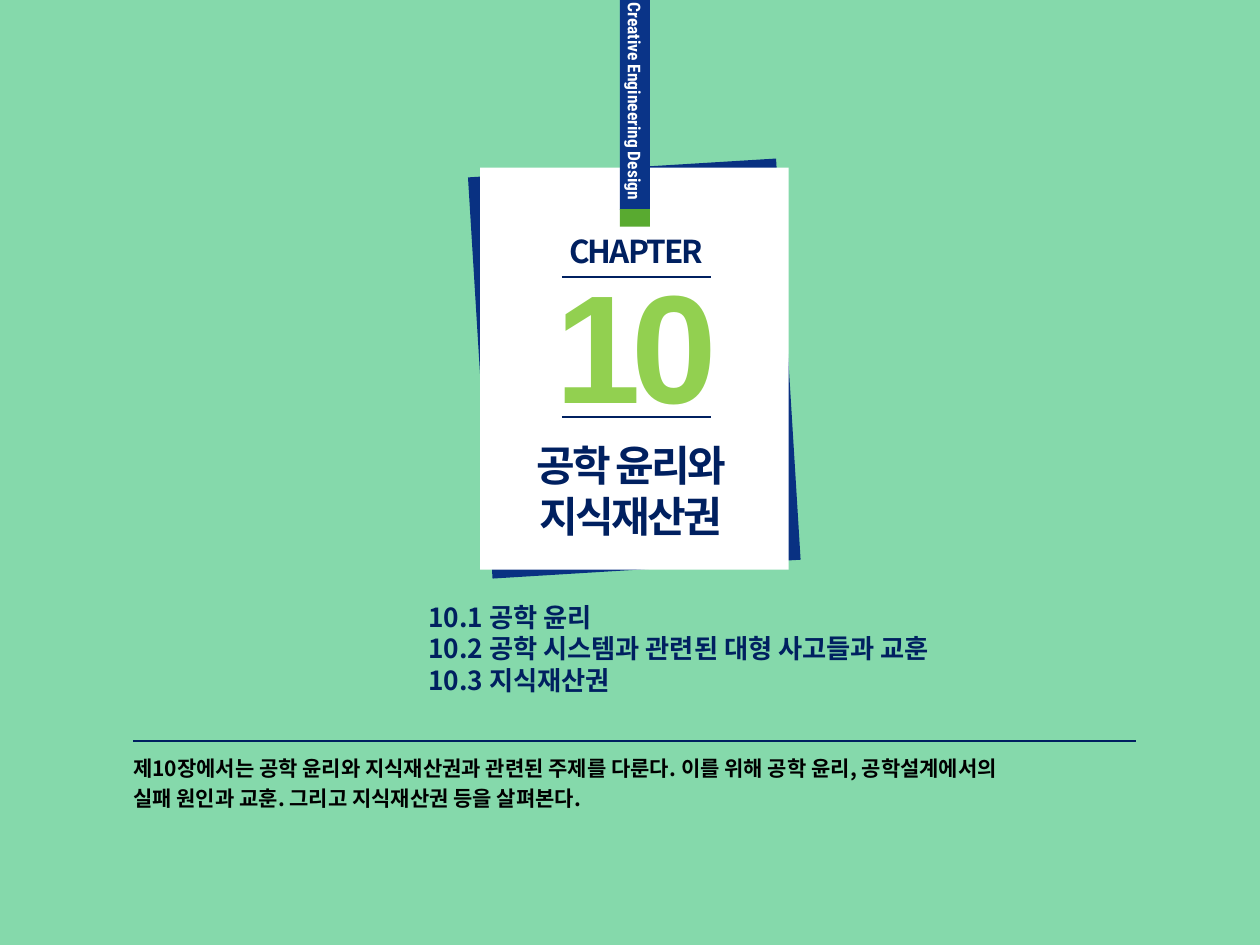
from lxml.etree import SubElement
from pptx import Presentation
from pptx.dml.color import RGBColor
from pptx.enum.shapes import MSO_CONNECTOR, MSO_SHAPE
from pptx.enum.text import MSO_ANCHOR, MSO_AUTO_SIZE, PP_ALIGN
from pptx.oxml.ns import qn
from pptx.util import Pt

NAVY = "002060"
KOREAN = "Noto Sans CJK KR"
SLIDE_SIZE = (720, 540)
CARD = (274.3, 95.8, 176.4, 229.7)
RIBBON = (354.2, 0, 17.3, 120)
RIBBON_END = (354.2, 119.5, 17.3, 10.1)
TITLE = ["공학 윤리와", "지식재산권"]
SECTIONS = [
    "10.1 공학 윤리",
    "10.2 공학 시스템과 관련된 대형 사고들과 교훈",
    "10.3 지식재산권",
]
SUMMARY = [
    "제10장에서는 공학 윤리와 지식재산권과 관련된 주제를 다룬다. 이를 위해 공학 윤리, 공학설계에서의",
    "실패 원인과 교훈. 그리고 지식재산권 등을 살펴본다.",
]
RULES = [  # left, right, y, width
    (321.1, 406.1, 158.4, 1),
    (321.1, 406.1, 238.3, 1),
    (76.3, 649.4, 423.4, 0.75),
]


def color(value):
    return RGBColor.from_string(value)


def place(shape, area):
    shape.left, shape.top, shape.width, shape.height = map(Pt, area)


def add_rect(area, fill, rotation=0):
    rect = slide.shapes.add_shape(MSO_SHAPE.RECTANGLE, *map(Pt, area))
    rect.shadow.inherit = False
    rect.fill.solid()
    rect.fill.fore_color.rgb = color(fill)
    rect.line.fill.background()
    rect.rotation = rotation
    return rect


def write(shape, lines, size, fill=NAVY, face=KOREAN, align=PP_ALIGN.LEFT,
          tracking=0, gap=0):
    """Fill a shape with bold lines; tracking and gap are in points."""
    frame = shape.text_frame
    frame.word_wrap = True
    frame.auto_size = MSO_AUTO_SIZE.NONE
    frame.vertical_anchor = MSO_ANCHOR.TOP
    for index, line in enumerate(lines):
        para = frame.paragraphs[0] if index == 0 else frame.add_paragraph()
        para.alignment = align
        para.space_before = Pt(gap if index else 0)
        span = para.add_run()
        span.text = line
        font = span.font
        font.size, font.bold, font.name = Pt(size), True, face
        font.color.rgb = color(fill)
        properties = span._r.get_or_add_rPr()
        SubElement(properties, qn("a:ea")).set("typeface", face)
        if tracking:
            properties.set("spc", str(round(tracking * 100)))
    return frame


def add_text(area, lines, size, **style):
    write(slide.shapes.add_textbox(*map(Pt, area)), lines, size, **style)


def add_rule(left, right, y, width):
    rule = slide.shapes.add_connector(
        MSO_CONNECTOR.STRAIGHT, Pt(left), Pt(y), Pt(right), Pt(y))
    rule.line.color.rgb = color(NAVY)
    rule.line.width = Pt(width)
    SubElement(rule._element.spPr, qn("a:effectLst"))


deck = Presentation()
deck.slide_width, deck.slide_height = map(Pt, SLIDE_SIZE)
slide = deck.slides.add_slide(deck.slide_layouts[5])
slide.background.fill.solid()
slide.background.fill.fore_color.rgb = color("85D9AB")

add_rect(CARD, "093182", rotation=356.5)
add_rect(CARD, "FFFFFF")
ribbon = add_rect(RIBBON, "0A3488")
label = write(ribbon, ["Creative Engineering Design"], 10, fill="FFFFFF",
              face="Roboto Condensed", align=PP_ALIGN.RIGHT)
label.vertical_anchor = MSO_ANCHOR.MIDDLE
label.margin_left = label.margin_top = label.margin_right = 0
label.margin_bottom = Pt(5.8)
label._txBody.bodyPr.set("vert", "vert")
add_rect(RIBBON_END, "59AA30")

add_text((293.8, 139, 139.7, 113.8), ["10"], 88, fill="92D050", face="Arial",
         align=PP_ALIGN.CENTER, tracking=-5)
add_text((309.6, 128.9, 108, 28.8), ["CHAPTER"], 18,
         align=PP_ALIGN.CENTER, tracking=-1.1)
add_text((69.1, 428.4, 648, 85), SUMMARY, 12, fill="000000", gap=2.4)
add_text((237.6, 339.8, 360, 61.9), SECTIONS, 15)
for rule in RULES:
    add_rule(*rule)

title = slide.shapes.title
place(title, (264.2, 247.7, 193, 65.5))
write(title, TITLE, 24, align=PP_ALIGN.CENTER, tracking=-1.5)
# The title belongs in front of the card.
slide.shapes._spTree.append(title._element)

deck.save("out.pptx")
